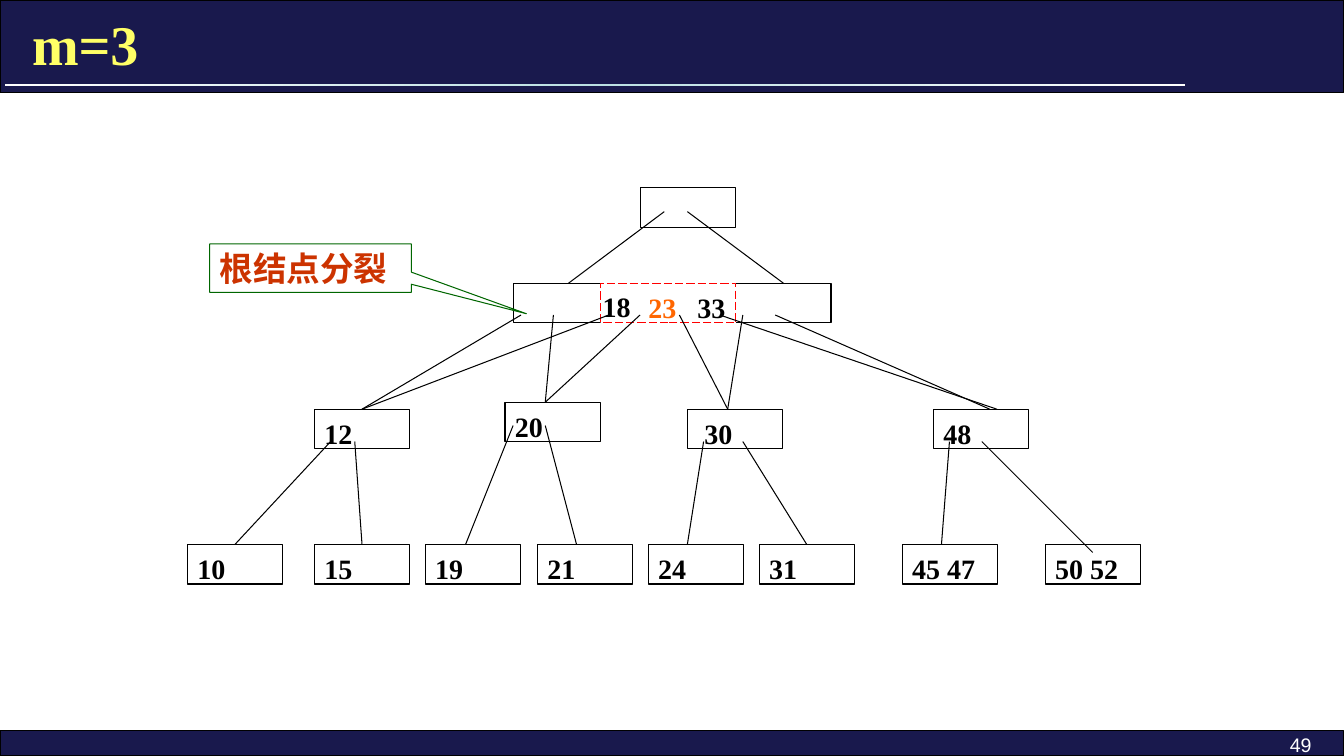
"""Builds the slide showing a root split in a B-tree of order m=3."""
import copy

import pptx
import pptx.dml.color
import pptx.enum.dml
import pptx.enum.shapes
import pptx.enum.text
import pptx.oxml.ns
import pptx.util

Pt = pptx.util.Pt
RGBColor = pptx.dml.color.RGBColor
SHAPE = pptx.enum.shapes.MSO_SHAPE
ANCHOR = pptx.enum.text.MSO_ANCHOR
ALIGN = pptx.enum.text.PP_ALIGN

NAVY = RGBColor(0x19, 0x19, 0x4D)
BLACK = RGBColor(0x00, 0x00, 0x00)
WHITE = RGBColor(0xFF, 0xFF, 0xFF)
PALE_BLUE = RGBColor(0xBB, 0xE0, 0xE3)
YELLOW = RGBColor(0xFF, 0xFF, 0x66)
RED = RGBColor(0xFF, 0x00, 0x00)
BRICK = RGBColor(0xCC, 0x33, 0x00)
ORANGE = RGBColor(0xFF, 0x66, 0x00)
GREEN = RGBColor(0x00, 0x66, 0x00)

NODE_W, NODE_H = 68, 28.4
ROOT_Y, SPLIT_Y, INNER_Y, LEAF_Y = 134, 202.3, 292.3, 388.8


def add_text(sp, text, size=20, color=BLACK, font="Times New Roman", bold=True,
             left=7.2, top=5.4, anchor=ANCHOR.TOP, align=ALIGN.LEFT):
    tf = sp.text_frame
    tf.word_wrap = True
    tf.vertical_anchor = anchor
    tf.margin_left, tf.margin_top = Pt(left), Pt(top)
    p = tf.paragraphs[0]
    p.alignment = align
    r = p.add_run()
    r.text = text
    r.font.name, r.font.size, r.font.bold = font, Pt(size), bold
    r.font.color.rgb = color


def add_box(x, y, w, h, fill=WHITE, line=BLACK, kind=SHAPE.RECTANGLE):
    sp = s.shapes.add_shape(kind, Pt(x), Pt(y), Pt(w), Pt(h))
    sp.shadow.inherit = False
    if fill is None:
        sp.fill.background()
    else:
        sp.fill.solid()
        sp.fill.fore_color.rgb = fill
    sp.line.color.rgb = line
    sp.line.width = Pt(0.75)
    return sp


prs = pptx.Presentation()
prs.slide_width, prs.slide_height = Pt(960), Pt(540)
s = prs.slides.add_slide(prs.slide_layouts[6])

add_box(0, 522, 960, 18, fill=NAVY)
add_box(0, 0, 960, 66.2, fill=NAVY)

rule = add_box(3.6, 59.9, 843, 1.5)
rule.line.fill.background()
rule.fill.gradient()
rule.fill.gradient_angle = 0
for stop in rule.fill.gradient_stops:
    stop.color.rgb = WHITE
stops = rule.fill._fill._gradFill.find(pptx.oxml.ns.qn("a:gsLst"))
stops.insert(1, copy.deepcopy(stops[0]))
for stop, position, color in zip(rule.fill.gradient_stops, (0, 0.5, 1),
                                 (WHITE, PALE_BLUE, WHITE)):
    stop.position = position
    stop.color.rgb = color

title = s.shapes.add_textbox(Pt(15.8), Pt(5.8), Pt(831.6), Pt(50.4))
add_text(title, "m=3", size=40, color=YELLOW, top=3.6, anchor=ANCHOR.MIDDLE)
number = s.shapes.add_textbox(Pt(800), Pt(518.4), Pt(144), Pt(18))
add_text(number, "49", size=14, color=WHITE, font="Arial", bold=False,
         align=ALIGN.RIGHT)

root = add_box(457.2, ROOT_Y, NODE_W, NODE_H)
right_half = add_box(525.6, SPLIT_Y, NODE_W, NODE_H)
left_half = add_box(366.5, SPLIT_Y, NODE_W, NODE_H)
old_root = add_box(429.1, SPLIT_Y, 96.5, NODE_H, line=RED)
old_root.line.dash_style = pptx.enum.dml.MSO_LINE.LONG_DASH

callout = add_box(149.8, 174.2, 144, 34.6, fill=None, line=GREEN,
                  kind=SHAPE.RECTANGULAR_CALLOUT)
callout.adjustments[0], callout.adjustments[1] = 1.071, 0.942
add_text(callout, "根结点分裂", size=24, color=BRICK, top=3.6, anchor=ANCHOR.MIDDLE)

nodes = {}
for text, x, y, left in (
        ("12", 224.6, INNER_Y, 7.2), ("20", 360.7, 287.3, 7.2),
        ("30", 491, INNER_Y, 12.2), ("48", 666.7, INNER_Y, 7.2),
        ("10", 133.9, LEAF_Y, 7.2), ("15", 224.6, LEAF_Y, 7.2),
        ("19", 303.8, LEAF_Y, 7.2), ("21", 383.8, LEAF_Y, 7.2),
        ("24", 463, LEAF_Y, 7.2), ("31", 542.2, LEAF_Y, 7.2),
        ("45 47", 644.4, LEAF_Y, 7.2), ("50 52", 746.6, LEAF_Y, 7.2)):
    nodes[text] = add_box(x, y, NODE_W, NODE_H)
    add_text(nodes[text], text, left=left)

for x, y, w, text, color, left in ((451.4, 202.3, 45.4, "23", ORANGE, 11.7),
                                   (423.4, 201.6, 39.6, "18", BLACK, 7.2),
                                   (491, 202.3, 39.6, "33", BLACK, 7.2)):
    label = s.shapes.add_textbox(Pt(x), Pt(y), Pt(w), Pt(31))
    add_text(label, text, color=color, left=left)

for x1, y1, x2, y2, child in (
        (474.5, 151.2, 406.1, SPLIT_Y, None),
        (491, 151.2, 559.6, SPLIT_Y, right_half),
        (434.9, 225, 258.6, INNER_Y, nodes["12"]),
        (372.2, 225, 258.6, INNER_Y, nodes["12"]),
        (457.2, 225, 389.5, 287.3, None),
        (395.3, 225, 389.5, 287.3, None),
        (485.3, 225, 519.8, INNER_Y, None),
        (530.6, 225, 519.8, INNER_Y, None),
        (514.1, 225, 712.1, INNER_Y, None),
        (553.7, 225, 707, INNER_Y, None),
        (236.2, 315.4, 167.9, LEAF_Y, nodes["10"]),
        (253.4, 315.4, 258.6, LEAF_Y, nodes["15"]),
        (366.5, 304, 332.6, LEAF_Y, None),
        (389.5, 304, 411.8, LEAF_Y, None),
        (502.6, 315.4, 491, LEAF_Y, None),
        (530.6, 315.4, 576.2, LEAF_Y, nodes["31"]),
        (678.2, 315.4, 672.5, LEAF_Y, None),
        (701.3, 315.4, 780.5, 394.6, None)):
    edge = s.shapes.add_connector(pptx.enum.shapes.MSO_CONNECTOR.STRAIGHT,
                                  Pt(x1), Pt(y1), Pt(x2), Pt(y2))
    if child is not None:
        edge.end_connect(child, 0)
    edge.line.color.rgb = BLACK
    edge.line.width = Pt(0.75)
    edge._element.spPr.append(pptx.oxml.parse_xml(
        '<a:effectLst xmlns:a="http://schemas.openxmlformats.org/drawingml/2006/main"/>'))

prs.save("out.pptx")
